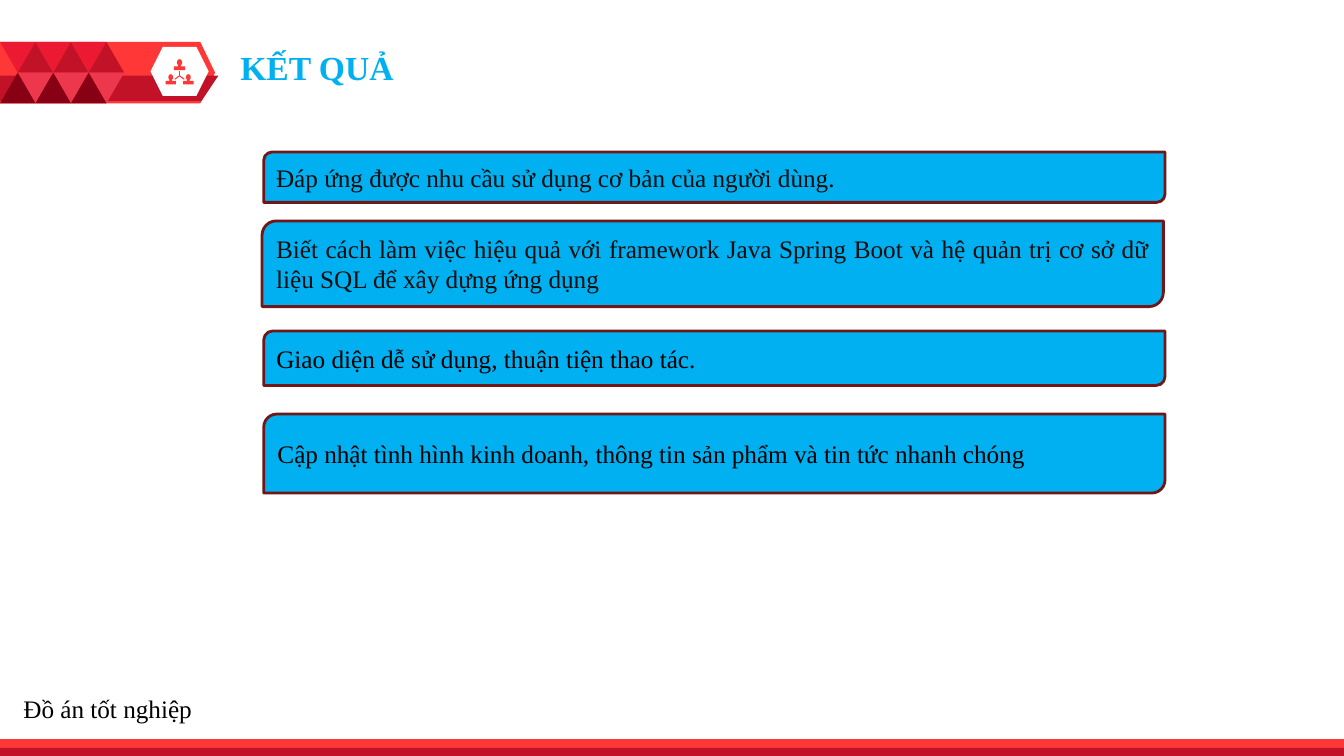
from collections import namedtuple

from lxml.etree import SubElement
from pptx import Presentation
from pptx.dml.color import RGBColor
from pptx.enum.shapes import MSO_CONNECTOR as Connector, MSO_SHAPE as Shape
from pptx.enum.text import MSO_ANCHOR as Anchor, MSO_AUTO_SIZE as AutoSize, PP_ALIGN as Align
from pptx.oxml.ns import qn
from pptx.util import Inches, Pt

COLUMNS, ROWS = 160, 90
UNIT = Inches(1 / 12)
FONT = "Times New Roman"
COLORS = {
    "red": "FF3737", "dark red": "C21227", "crimson": "EB1932", "rose": "ED374D",
    "maroon": "880014", "border": "701818", "blue": "00B0F0", "white": "FFFFFF",
    "black": "000000", "ink": "0D0D0D",
}
RESULTS = [  # column, row, rows, text colour, alignment, text
    (31.4, 18.1, 6, "ink", Align.JUSTIFY,
     "Đáp ứng được nhu cầu sử dụng cơ bản của người dùng."),
    (31.2, 26.3, 10.2, "ink", Align.JUSTIFY,
     "Biết cách làm việc hiệu quả với framework Java Spring Boot và hệ quản trị "
     "cơ sở dữ liệu SQL để xây dựng ứng dụng"),
    (31.4, 39.4, 6.5, "black", Align.JUSTIFY,
     "Giao diện dễ sử dụng, thuận tiện thao tác."),
    (31.4, 49.3, 9.4, "black", Align.LEFT,
     "Cập nhật tình hình kinh doanh, thông tin sản phẩm và tin tức nhanh chóng"),
]


class Box(namedtuple("Box", "column row columns rows")):
    """An area of the slide grid."""

    def inner(self, x, y, width, height):
        """Return an inner box given as shares of this one."""
        return Box(*self.point(x, y), self.columns * width, self.rows * height)

    def point(self, x, y):
        return self.column + self.columns * x, self.row + self.rows * y

    def lengths(self):
        return [round(value * UNIT) for value in self]


def color(name):
    return RGBColor.from_string(COLORS[name])


def paint(shape, fill, border=None):
    shape.shadow.inherit = False
    shape.fill.solid()
    shape.fill.fore_color.rgb = color(fill)
    if border:
        shape.line.color.rgb = color(border)
        shape.line.width = Pt(2)
    else:
        shape.line.fill.background()
    return shape


def add_filled(slide, kind, box, fill, border=None):
    return paint(slide.shapes.add_shape(kind, *box.lengths()), fill, border)


def write(shape, text, size=18, ink="black", bold=False, align=Align.LEFT,
          anchor=Anchor.MIDDLE, spacing=0):
    frame = shape.text_frame
    frame.word_wrap = True
    frame.auto_size = AutoSize.NONE
    frame.vertical_anchor = anchor
    paragraph = frame.paragraphs[0]
    paragraph.alignment = align
    paragraph.space_before = paragraph.space_after = Pt(spacing)
    run = paragraph.add_run()
    run.text = text
    run.font.name, run.font.size, run.font.bold = FONT, Pt(size), bold
    run.font.color.rgb = color(ink)


def add_title(slide, box, text):
    title = slide.shapes.title
    title.left, title.top, title.width, title.height = box.lengths()
    write(title, text, size=24, ink="blue", bold=True)


def add_person(slide, box):
    add_filled(slide, Shape.OVAL, box.inner(0.27, 0, 0.46, 0.6), "red")
    add_filled(slide, Shape.RECTANGLE, box.inner(0.38, 0.5, 0.24, 0.25), "red")
    add_filled(slide, Shape.ROUND_2_SAME_RECTANGLE, box.inner(0, 0.65, 1, 0.35), "red")


def add_team_icon(slide, box):
    for person in [(0.3, 0, 0.4, 0.44), (0, 0.6, 0.37, 0.4), (0.63, 0.6, 0.37, 0.4)]:
        add_person(slide, box.inner(*person))
    center = box.point(0.5, 0.66)
    for end in [(0.5, 0.48), (0.33, 0.8), (0.67, 0.8)]:
        ends = [round(value * UNIT) for value in (*center, *box.point(*end))]
        spoke = slide.shapes.add_connector(Connector.STRAIGHT, *ends)
        spoke.line.color.rgb = color("red")
        spoke.line.width = Pt(0.75)
        SubElement(spoke.element.spPr, qn("a:effectLst"))


def add_triangles(slide, box, pairs=3):
    width = 0.165
    pattern = [  # shift in triangle widths, top, fill, rotation
        (0, 0, "crimson", 180), (0.5, 0, "dark red", 0),
        (0.5, 0.5, "rose", 180), (0, 0.5, "maroon", 0),
    ]
    for pair in range(pairs):
        for shift, top, fill, rotation in pattern:
            place = box.inner((pair + shift) * width, top, width, 0.5)
            triangle = add_filled(slide, Shape.ISOSCELES_TRIANGLE, place, fill)
            triangle.rotation = rotation


def add_flag(slide, box):
    flag = add_filled(slide, Shape.PENTAGON, box, "red")
    flag.adjustments[0] = 0.24
    corners = [box.point(*corner) for corner in [(0, 0.5), (1, 0.5), (0.93, 1), (0, 1)]]
    builder = slide.shapes.build_freeform(*corners[0], scale=UNIT)
    builder.add_line_segments(corners[1:], close=True)
    paint(builder.convert_to_shape(), "dark red")
    add_filled(slide, Shape.HEXAGON, box.inner(0.7, 0.08, 0.27, 0.8), "white")
    add_team_icon(slide, box.inner(0.77, 0.28, 0.13, 0.41))
    add_triangles(slide, box)


def add_results(slide, columns):
    for column, row, rows, ink, align, text in RESULTS:
        place = Box(column, row, columns, rows)
        card = add_filled(slide, Shape.ROUND_2_DIAG_RECTANGLE, place, "blue", "border")
        write(card, text, ink=ink, align=align, spacing=4 if align == Align.JUSTIFY else 0)


def add_footer(slide, box, text):
    label = slide.shapes.add_textbox(*box.inner(0.01, 0, 0.21, 0.6).lengths())
    write(label, text, anchor=Anchor.TOP)
    add_filled(slide, Shape.RECTANGLE, box.inner(0, 0.75, 1, 0.25), "red")
    add_filled(slide, Shape.RECTANGLE, box.inner(0, 0.88, 1, 0.12), "dark red")


def main():
    presentation = Presentation()
    presentation.slide_width = COLUMNS * UNIT
    presentation.slide_height = ROWS * UNIT
    slide = presentation.slides.add_slide(presentation.slide_layouts[5])
    add_flag(slide, Box(0, 5, 25.6, 7.3))
    add_title(slide, Box(27.4, 5, 120, 6), "KẾT QUẢ")
    add_results(slide, columns=107.3)
    add_footer(slide, Box(0, 82, COLUMNS, 8), "Đồ án tốt nghiệp")
    presentation.save("out.pptx")


if __name__ == "__main__":
    main()
